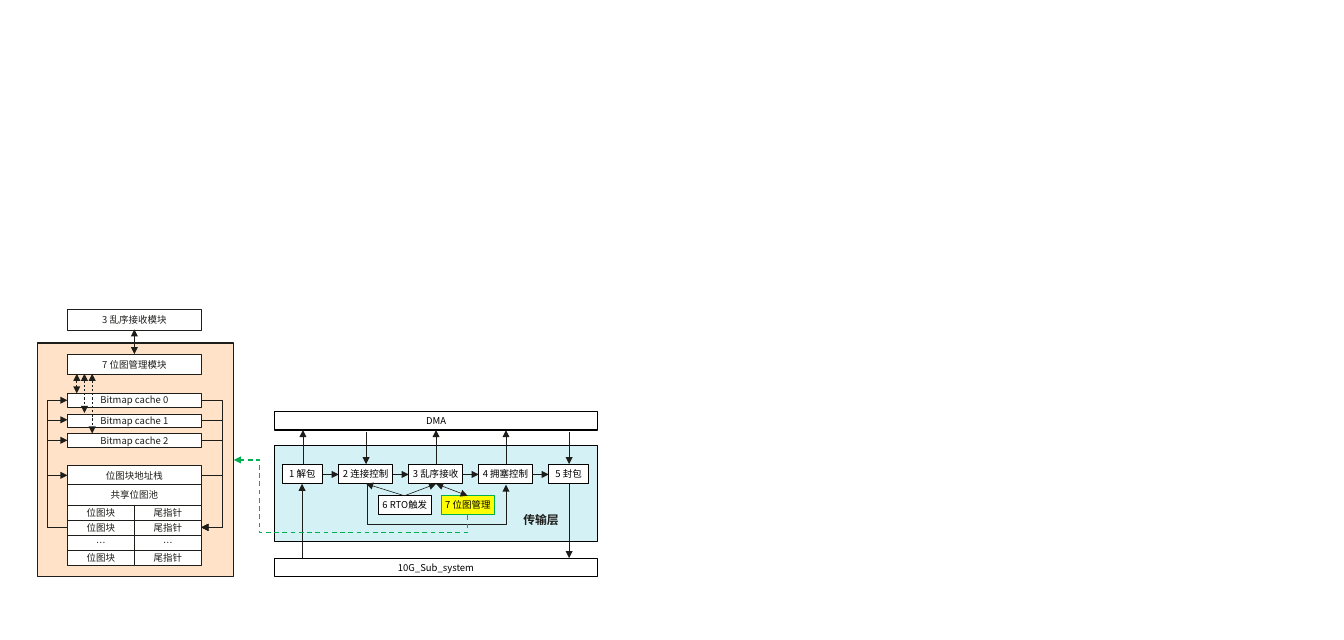
import pptx
import pptx.dml.color
import pptx.enum.dml
import pptx.enum.shapes
import pptx.enum.text
import pptx.oxml.ns
import pptx.util
from lxml import etree

Inches = pptx.util.Inches
Pt = pptx.util.Pt
qn = pptx.oxml.ns.qn
FONT = "Noto Sans CJK SC"
BLACK, INK, WHITE, GREEN = "000000", "1D1D1A", "FFFFFF", "00B050"

prs = pptx.Presentation()
prs.slide_width, prs.slide_height = Inches(15.75), Inches(7.5)
shapes = prs.slides.add_slide(prs.slide_layouts[6]).shapes
rgb = pptx.dml.color.RGBColor.from_string


def box(x, y, w, h, text="", fill=WHITE, line=INK, weight=0.5, color=INK, size=8, bold=False):
    """Add a rectangle with centred text; fill and line may be None."""
    s = shapes.add_shape(pptx.enum.shapes.MSO_SHAPE.RECTANGLE,
                         Inches(x), Inches(y), Inches(w), Inches(h))
    s.shadow.inherit = False
    if fill:
        s.fill.solid()
        s.fill.fore_color.rgb = rgb(fill)
    else:
        s.fill.background()
    if line:
        s.line.color.rgb = rgb(line)
        s.line.width = Pt(weight)
    else:
        s.line.fill.background()
    if text:
        tf = s.text_frame
        tf.margin_left = tf.margin_right = tf.margin_top = tf.margin_bottom = 0
        tf.vertical_anchor = pptx.enum.text.MSO_ANCHOR.MIDDLE
        tf.word_wrap = True
        p = tf.paragraphs[0]
        p.text = text
        p.alignment = pptx.enum.text.PP_ALIGN.CENTER
        p.font.size = Pt(size)
        p.font.bold = bold
        p.font.color.rgb = rgb(color)
        p.font.name = FONT
        defaults = p._p.pPr.find(qn("a:defRPr"))
        etree.SubElement(defaults, qn("a:ea"), typeface=FONT)


def arrow(*points, color=INK, weight=0.5, dash=False, both=False):
    """Draw an arrow through the points: a connector for two, an open outline for more."""
    points = [(Inches(x), Inches(y)) for x, y in points]
    if len(points) == 2:
        s = shapes.add_connector(pptx.enum.shapes.MSO_CONNECTOR.STRAIGHT, *points[0], *points[1])
        etree.SubElement(s._element.spPr, qn("a:effectLst"))
    else:
        builder = shapes.build_freeform(*points[0])
        builder.add_line_segments(points[1:], close=False)
        s = builder.convert_to_shape()
        s.fill.background()
        s.shadow.inherit = False
    s.line.color.rgb = rgb(color)
    s.line.width = Pt(weight)
    if dash:
        s.line.dash_style = pptx.enum.dml.MSO_LINE.DASH
    ln = s._element.spPr.find(qn("a:ln"))
    for end in ("headEnd", "tailEnd") if both else ("tailEnd",):
        etree.SubElement(ln, qn("a:" + end), type="triangle")


# Transport layer
box(3.22, 5.22, 3.78, 1.13, fill="D4F1F5", line=BLACK, weight=1)
for y, text in ((4.82, "DMA"), (6.54, "10G_Sub_system")):
    box(3.22, y, 3.78, 0.22, text, line=BLACK, weight=1, color=BLACK)

stages = [(3.31, 0.47, "1 解包"), (3.97, 0.63, "2 连接控制"), (4.79, 0.63, "3 乱序接收"),
          (5.61, 0.63, "4 拥塞控制"), (6.43, 0.47, "5 封包")]
for x, w, text in stages:
    box(x, 5.44, w, 0.23, text, line=BLACK, color=BLACK)
for (x, w, _), (next_x, _, _) in zip(stages, stages[1:]):
    arrow((x + w, 5.56), (next_x, 5.56))

box(4.43, 5.81, 0.63, 0.22, "6 RTO触发", line=BLACK, color=BLACK)
box(5.17, 5.81, 0.63, 0.22, "7 位图管理", fill="FFFF00", line=GREEN, weight=1, color=BLACK)
arrow((5.48, 5.81), (5.11, 5.67), both=True)
for x in (5.11, 4.29):
    arrow((4.74, 5.81), (x, 5.67))

for x in (3.55, 5.11, 5.93):
    arrow((x, 5.44), (x, 5.04))
for x in (4.29, 6.67):
    arrow((x, 5.06), (x, 5.44))
arrow((3.54, 6.54), (3.54, 5.67))
arrow((6.67, 5.67), (6.67, 6.54))
arrow((4.3, 5.66), (4.3, 6.14), (5.93, 6.14), (5.93, 5.68))
box(5.99, 6.01, 0.7, 0.17, "传输层", fill=None, line=None, size=10, bold=True)

# Bitmap management
box(0.44, 4.02, 2.3, 2.74, fill="FFE2C8", weight=1)
left, width = 0.79, 1.57
right, middle = left + width, left + width / 2
for y, h, text in ((3.63, 0.24, "3 乱序接收模块"), (4.15, 0.24, "7 位图管理模块"),
                   (4.61, 0.16, "Bitmap cache 0"), (4.85, 0.16, "Bitmap cache 1"),
                   (5.08, 0.16, "Bitmap cache 2"), (5.45, 0.24, "位图块地址栈"),
                   (5.68, 0.24, "共享位图池")):
    box(left, y, width, h, text)
for row, cells in enumerate([("位图块", "尾指针"), ("位图块", "尾指针"),
                             ("…", "…"), ("位图块", "尾指针")]):
    for column, text in enumerate(cells):
        box(left + column * width / 2, 5.92 + row * 0.53 / 3, width / 2, 0.18, text)

pool_y = 6.18
for y in (4.69, 4.92, 5.16, 5.57):
    arrow((right, y), (2.61, y), (2.61, pool_y), (right, pool_y))
    arrow((left, pool_y), (0.55, pool_y), (0.55, y), (left, y))
for x, y in ((0.9, 4.61), (0.99, 4.84), (1.08, 5.08)):
    arrow((x, 4.38), (x, y), dash=True, both=True)
arrow((middle, 4.15), (middle, 3.86), both=True)

# Link from stage 7 to its detail
arrow((5.48, 6.04), (5.48, 6.24), (3.04, 6.24), (3.04, 5.39), (2.74, 5.39),
      color=GREEN, weight=1, dash=True)

prs.save("out.pptx")
